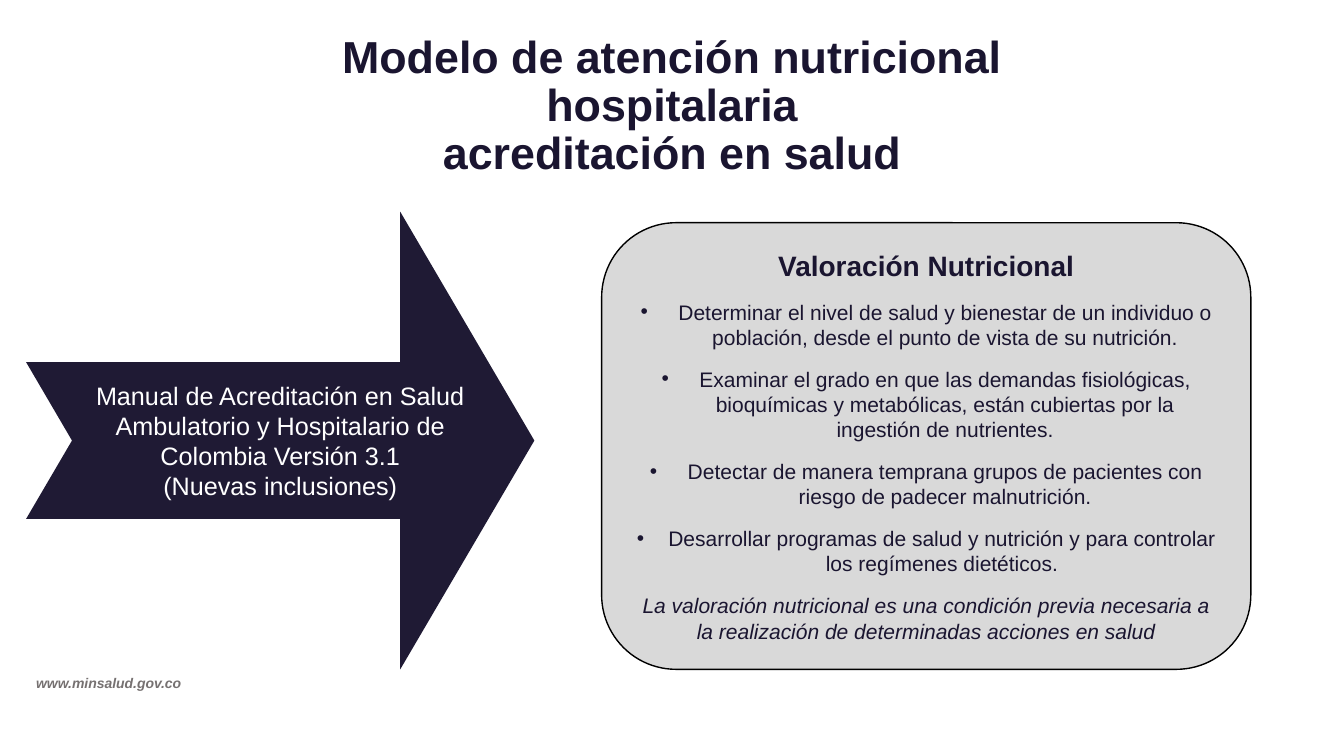
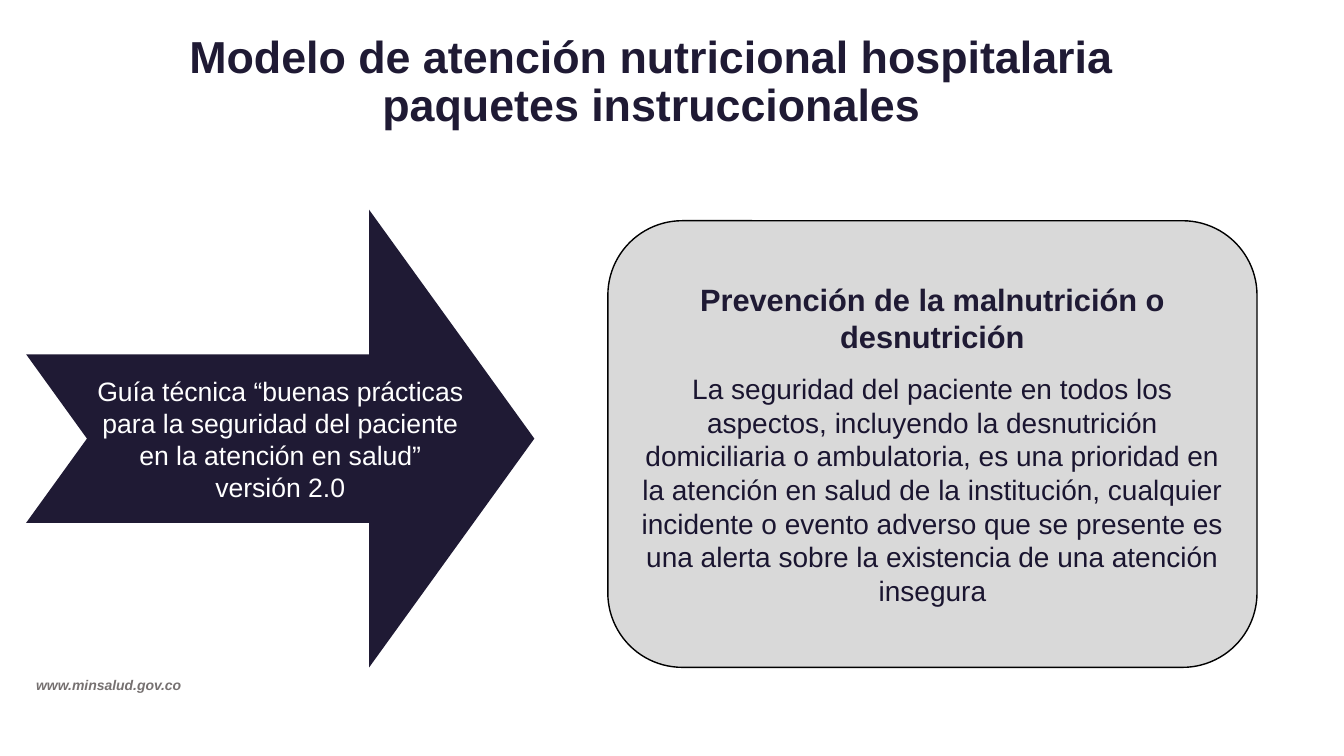
"""Build two slides on the hospital nutritional care model."""
from lxml.etree import SubElement
from pptx import Presentation
from pptx.dml.color import RGBColor
from pptx.enum.shapes import MSO_SHAPE
from pptx.enum.text import MSO_ANCHOR, MSO_AUTO_SIZE, PP_ALIGN
from pptx.oxml.ns import qn
from pptx.util import Pt

INK, NAVY, GREY, BLACK, WHITE, MUTED = "1A1530", "1F1A34", "D9D9D9", "000000", "FFFFFF", "767171"
SITE = "www.minsalud.gov.co"
LEFT = 18.7
ARROW_SIZE = (363, 327)
CARD_SIZE = (463.7, 319)
SITE_SIZE = (120, 19.4)

HEADING = {"size": 20, "color": INK, "bold": True}
BODY = {"size": 15, "color": INK}
CLOSING = {**BODY, "italic": True}
SITE_STYLE = {"size": 10, "color": MUTED, "bold": True, "italic": True}

SLIDES = [
    {
        "title": "Modelo de atención nutricional hospitalaria\vacreditación en salud",
        "title_box": (144.7, 20.9, 671, 102.2),
        "title_color": INK,
        "arrow_top": 151.2,
        "arrow_adjust": (0.342, 0.293),
        "arrow_size": 18,
        "arrow_gap": 0,
        "arrow": [
            "Manual de Acreditación en Salud Ambulatorio y Hospitalario de Colombia Versión 3.1",
            "(Nuevas inclusiones)",
        ],
        "card_at": (429.8, 159.1),
        "card": [
            ("Valoración Nutricional", HEADING, 0),
            ("Determinar el nivel de salud y bienestar de un individuo o población, "
             "desde el punto de vista de su nutrición.", BODY, 27),
            ("Examinar el grado en que las demandas fisiológicas, bioquímicas y metabólicas, "
             "están cubiertas por la ingestión de nutrientes.", BODY, 27),
            ("Detectar de manera temprana grupos de pacientes con riesgo de padecer malnutrición.",
             BODY, 27),
            ("Desarrollar programas de salud y nutrición y para controlar los regímenes dietéticos.",
             BODY, 22.5),
            ("La valoración nutricional es una condición previa necesaria a la realización "
             "de determinadas acciones en salud", CLOSING, 0),
        ],
        "site_top": 478.1,
    },
    {
        "title": "Modelo de atención nutricional hospitalaria\vpaquetes instruccionales",
        "title_box": (120.2, 20.9, 690.5, 105.1),
        "title_color": NAVY,
        "arrow_top": 149.8,
        "arrow_adjust": (0.368, 0.361),
        "arrow_size": 19,
        "arrow_gap": 12,
        "arrow": [
            "Guía técnica “buenas prácticas para la seguridad del paciente "
            "en la atención en salud” versión 2.0",
        ],
        "card_at": (434.2, 157.7),
        "card": [
            ("Prevención de la malnutrición o desnutrición",
             {**HEADING, "size": 22, "color": NAVY}, 0),
            ("La seguridad del paciente en todos los aspectos, incluyendo la desnutrición "
             "domiciliaria o ambulatoria, es una prioridad en la atención en salud de la "
             "institución, cualquier incidente o evento adverso que se presente es una alerta "
             "sobre la existencia de una atención insegura", {**BODY, "size": 20}, 0),
        ],
        "site_top": 479.5,
    },
]


def rgb(code):
    """Turn a hex string into a colour."""
    return RGBColor.from_string(code)


def points(values):
    """Turn numbers into point lengths."""
    return [Pt(value) for value in values]


def style(font, size, color, **flags):
    """Apply a text format to a font."""
    font.color.rgb = rgb(color)
    for name, value in {"name": "Arial", "size": Pt(size), **flags}.items():
        setattr(font, name, value)


def add_bullet(paragraph, indent):
    """Give a paragraph a bullet with a hanging indent."""
    properties = paragraph._p.get_or_add_pPr()
    properties.set("marL", str(Pt(indent)))
    properties.set("indent", str(-Pt(indent)))
    SubElement(properties, qn("a:buFont")).set("typeface", "Arial")
    SubElement(properties, qn("a:buChar")).set("char", "•")


def write(frame, entries, gap=0, align=PP_ALIGN.CENTER):
    """Write (text, format, bullet indent) entries as paragraphs."""
    for index, (text, look, indent) in enumerate(entries):
        paragraph = frame.add_paragraph() if index else frame.paragraphs[0]
        paragraph.alignment = align
        paragraph.space_after = Pt(gap)
        if indent:
            add_bullet(paragraph, indent)
        run = paragraph.add_run()
        run.text = text
        style(run.font, **look)


def add_panel(slide, preset, box, fill, line=None):
    """Add a filled shape with vertically centred text."""
    panel = slide.shapes.add_shape(preset, *points(box))
    panel.shadow.inherit = False
    panel.fill.solid()
    panel.fill.fore_color.rgb = rgb(fill)
    if line:
        panel.line.color.rgb = rgb(line)
        panel.line.width = Pt(1)
    else:
        panel.line.fill.background()
    panel.text_frame.word_wrap = True
    panel.text_frame.vertical_anchor = MSO_ANCHOR.MIDDLE
    return panel


def set_title(slide, text, box, color):
    """Place and format the title placeholder."""
    title = slide.shapes.title
    title.left, title.top, title.width, title.height = points(box)
    frame = title.text_frame
    frame.text = text
    frame.vertical_anchor = MSO_ANCHOR.TOP
    frame.auto_size = MSO_AUTO_SIZE.NONE
    heading = frame.paragraphs[0]
    heading.alignment = PP_ALIGN.CENTER
    heading.line_spacing = 0.9
    for run in heading.runs:
        style(run.font, 32, color, bold=True)


def add_site(slide, top):
    """Add the web address at the foot of the slide."""
    site = slide.shapes.add_textbox(*points((LEFT, top, *SITE_SIZE)))
    site.text_frame.word_wrap = False
    write(site.text_frame, [(SITE, SITE_STYLE, 0)], align=PP_ALIGN.LEFT)


def build_slide(deck, content):
    """Build one slide from its content."""
    slide = deck.slides.add_slide(deck.slide_layouts[5])
    set_title(slide, content["title"], content["title_box"], content["title_color"])

    card = add_panel(slide, MSO_SHAPE.ROUNDED_RECTANGLE,
                     (*content["card_at"], *CARD_SIZE), GREY, BLACK)
    write(card.text_frame, content["card"], gap=12)

    arrow = add_panel(slide, MSO_SHAPE.NOTCHED_RIGHT_ARROW,
                      (LEFT, content["arrow_top"], *ARROW_SIZE), NAVY)
    for index, value in enumerate(content["arrow_adjust"]):
        arrow.adjustments[index] = value
    look = {"size": content["arrow_size"], "color": WHITE}
    write(arrow.text_frame, [(text, look, 0) for text in content["arrow"]],
          gap=content["arrow_gap"])

    add_site(slide, content["site_top"])


def main():
    """Build and save the presentation."""
    deck = Presentation()
    deck.slide_width, deck.slide_height = points((960, 540))
    for content in SLIDES:
        build_slide(deck, content)
    deck.save("out.pptx")


if __name__ == "__main__":
    main()
